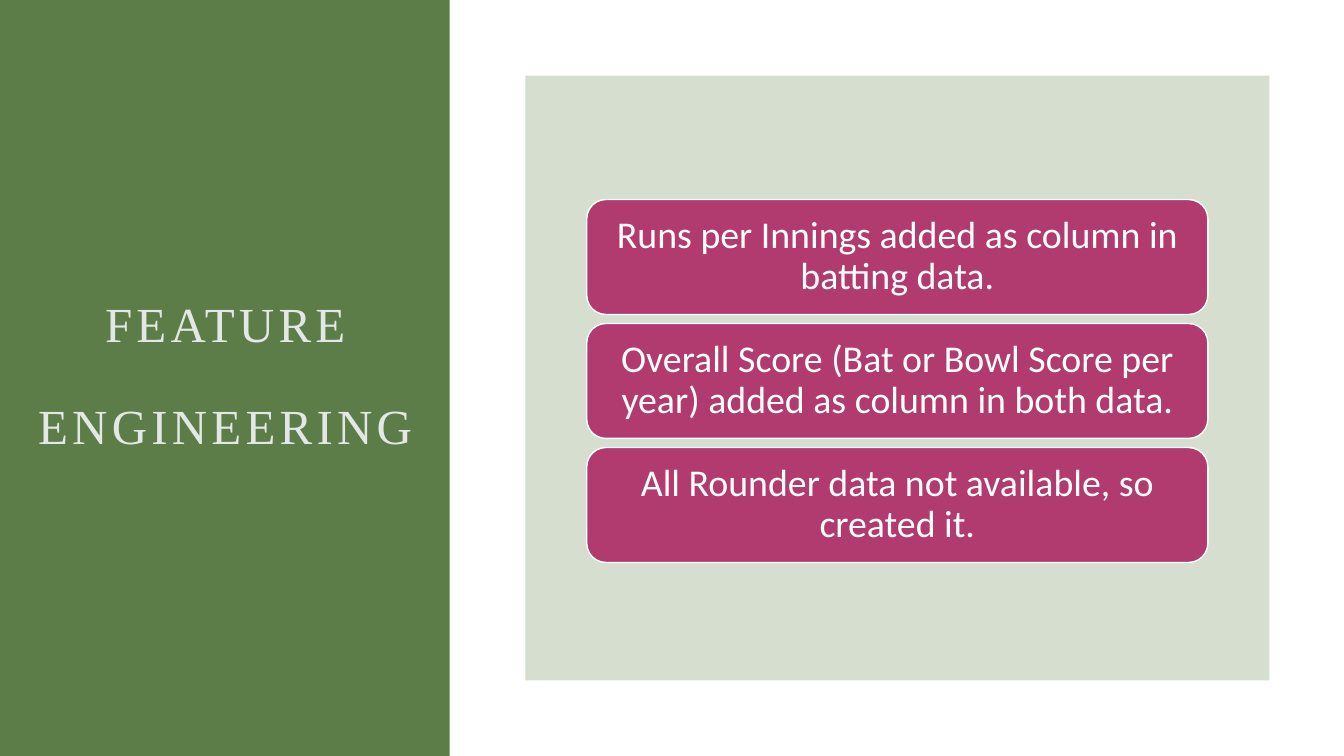
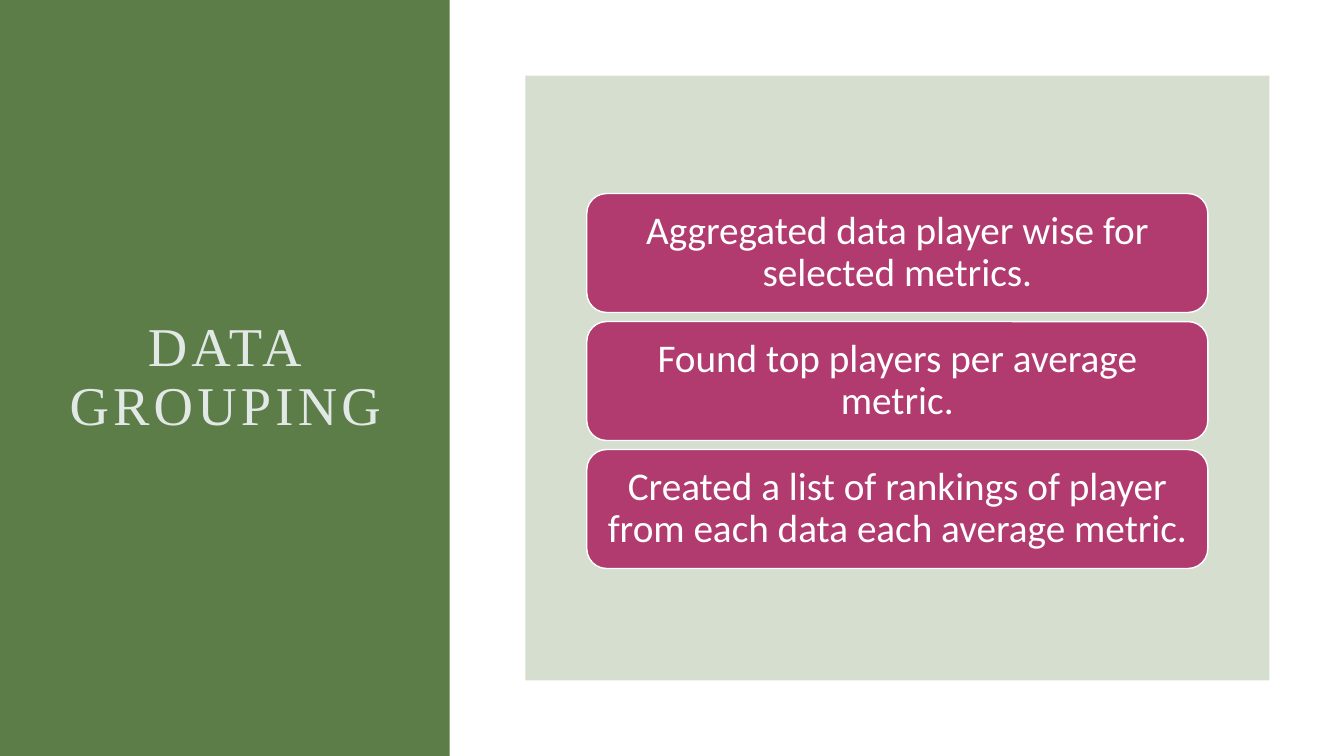
from lxml import etree
from pptx import Presentation
from pptx.dml.color import RGBColor
from pptx.enum.shapes import MSO_SHAPE
from pptx.enum.text import MSO_ANCHOR, MSO_AUTO_SIZE, PP_ALIGN
from pptx.oxml.ns import qn
from pptx.util import Inches, Pt

RECTANGLE, ROUNDED = MSO_SHAPE.RECTANGLE, MSO_SHAPE.ROUNDED_RECTANGLE
MIDDLE, CENTER, NO_FIT = MSO_ANCHOR.MIDDLE, PP_ALIGN.CENTER, MSO_AUTO_SIZE.NONE

GREEN = RGBColor(0x5C, 0x7D, 0x47)
MAGENTA = RGBColor(0xB1, 0x3B, 0x6F)
PALE = RGBColor(0xE2, 0xE8, 0xE5)
WHITE = RGBColor(0xFF, 0xFF, 0xFF)
TITLE_FONT, BODY_FONT = "Times New Roman", "Calibri"

# left, top, width, height in inches
BAND = (0, 0, 4.46, 7.5)
TITLE = (0.24, 1.5, 3.99, 4.5)
PANEL = (5.21, 0.75, 7.38, 6)
CARD_MARGIN = 0.61
CARD_GAP = 0.09
CARDS_SHIFT = 0.03

SLIDES = [
    {
        "title": "FEATURE\nENGINEERING",
        "title_size": 35,
        "cards": [
            "Runs per Innings added as column in batting data.",
            "Overall Score (Bat or Bowl Score per year) added as column in both data.",
            "All Rounder data not available, so created it.",
        ],
        "card_size": 27, "card_height": 1.14, "card_inset": 0.11,
    },
    {
        "title": "DATA GROUPING",
        "title_size": 39,
        "cards": [
            "Aggregated data player wise for selected metrics.",
            "Found top players per average metric.",
            "Created a list of rankings of player from each data each average metric.",
        ],
        "card_size": 28, "card_height": 1.18, "card_inset": 0.12,
    },
]


def add_box(slide, kind, box, color):
    shape = slide.shapes.add_shape(kind, *map(Inches, box))
    shape.shadow.inherit = False
    shape.fill.solid()
    shape.fill.fore_color.rgb = color
    shape.line.fill.background()
    return shape


def write_text(shape, text, font_name, size, color, inset):
    """Fill a shape with centred text, one paragraph per line of text."""
    frame = shape.text_frame
    frame.text = text
    frame.word_wrap = True
    frame.auto_size = NO_FIT
    frame.vertical_anchor = MIDDLE
    frame.margin_left = frame.margin_right = Inches(inset)
    frame.margin_top = frame.margin_bottom = Inches(inset)
    for paragraph in frame.paragraphs:
        paragraph.alignment = CENTER
        paragraph.line_spacing = 0.9
        font = paragraph.runs[0].font
        font.name, font.size = font_name, Pt(size)
        font.color.rgb = color


def add_title_band(slide, text, size):
    band = add_box(slide, RECTANGLE, BAND, GREEN)
    slide.shapes._spTree.insert(2, band._element)  # behind the title
    title = slide.shapes.title
    title.left, title.top, title.width, title.height = map(Inches, TITLE)
    write_text(title, text, TITLE_FONT, size, PALE, 0)
    for paragraph in title.text_frame.paragraphs:
        paragraph.runs[0].font._element.set("spc", "300")
    for paragraph in title.text_frame.paragraphs[1:]:
        paragraph.space_before = Pt(size)


def add_card_panel(slide, box, texts, size, card_height, inset):
    """Draw a tinted panel with a vertically centred stack of cards."""
    left, top, width, height = box
    panel = add_box(slide, RECTANGLE, box, GREEN)
    color = panel.fill._xPr.find(qn("a:solidFill"))[0]
    etree.SubElement(color, qn("a:alpha")).set("val", "25000")

    pitch = card_height + CARD_GAP
    stack_height = len(texts) * pitch - CARD_GAP
    first_top = top + (height - stack_height) / 2 + CARDS_SHIFT
    for index, text in enumerate(texts):
        card = add_box(
            slide, ROUNDED,
            (left + CARD_MARGIN, first_top + index * pitch,
             width - 2 * CARD_MARGIN, card_height),
            MAGENTA)
        card.line.color.rgb = WHITE
        card.line.width = Pt(1)
        write_text(card, text, BODY_FONT, size, WHITE, inset)


def main():
    presentation = Presentation()
    presentation.slide_width = Inches(13.33)
    presentation.slide_height = Inches(7.5)
    title_only = presentation.slide_layouts[5]
    for content in SLIDES:
        slide = presentation.slides.add_slide(title_only)
        add_title_band(slide, content["title"], content["title_size"])
        add_card_panel(slide, PANEL, content["cards"], content["card_size"],
                       content["card_height"], content["card_inset"])
    presentation.save("out.pptx")


if __name__ == "__main__":
    main()
